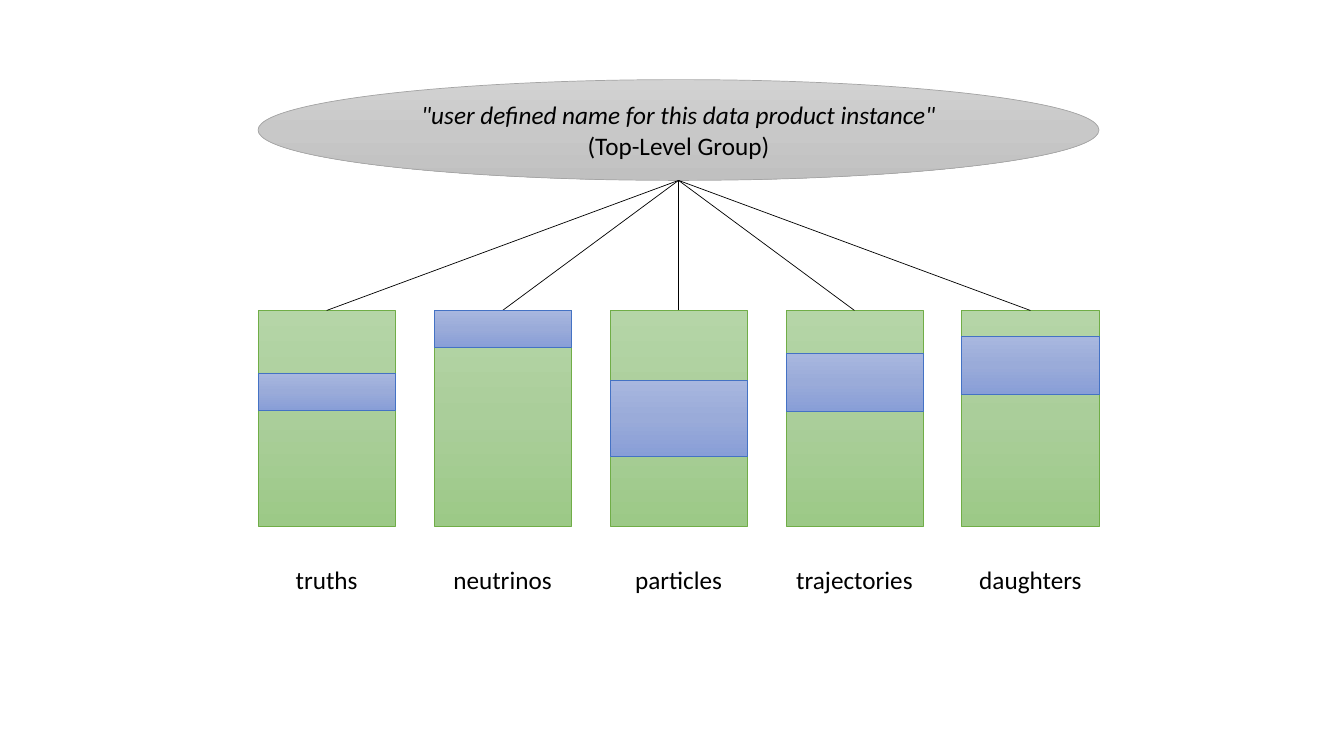
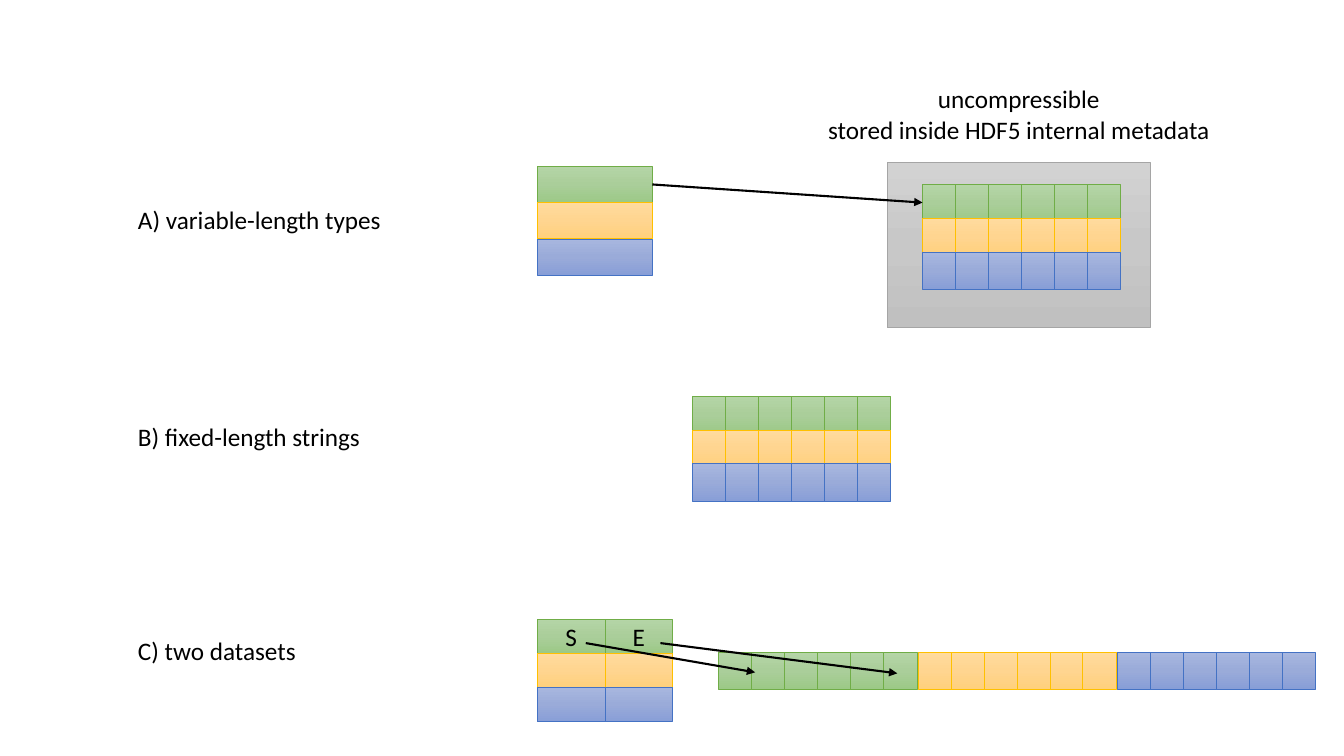
from copy import deepcopy
from dataclasses import dataclass

from pptx import Presentation
from pptx.dml.color import RGBColor
from pptx.enum import shapes, text
from pptx.oxml.ns import qn
from pptx.util import Inches, Pt


@dataclass(frozen=True)
class Theme:
    """Colours (three gradient stops, then outline), type and line weights."""
    gray: tuple = ("D2D2D2", "C8C8C8", "C0C0C0", "A5A5A5")
    green: tuple = ("B5D5A7", "AACE9A", "9CC987", "70AD47")
    yellow: tuple = ("FFDB9E", "FFD590", "FFD07C", "FFC000")
    blue: tuple = ("A8B7DF", "9AABD9", "889ED7", "4472C4")
    ink: str = "000000"
    font: str = "Calibri"
    size: int = 18
    thin: float = 0.5
    thick: float = 1.5


theme = Theme()


def add_box(page, frame, tone=None, label="", align=text.PP_ALIGN.CENTER,
            preset=shapes.MSO_SHAPE.RECTANGLE):
    """Add a gradient shape, or a plain text box when no tone is given."""
    frame = [Inches(length) for length in frame]
    if tone:
        box = page.shapes.add_shape(preset, *frame)
        box.shadow.inherit = False
        box.fill.gradient()
        box.fill.gradient_angle = 270
        first_stop = box.fill.gradient_stops[0]._gs
        first_stop.addnext(deepcopy(first_stop))
        for index, stop in enumerate(box.fill.gradient_stops):
            stop.position = index / 2
            stop.color.rgb = RGBColor.from_string(tone[index])
        box.line.color.rgb = RGBColor.from_string(tone[-1])
        box.line.width = Pt(theme.thin)
        box.text_frame.vertical_anchor = text.MSO_ANCHOR.MIDDLE
    else:
        box = page.shapes.add_textbox(*frame)
        box.text_frame.auto_size = text.MSO_AUTO_SIZE.SHAPE_TO_FIT_TEXT
    box.text_frame.word_wrap = True
    box.text_frame.text = label
    for para in box.text_frame.paragraphs:
        para.alignment = align
        for span in para.runs:
            span.font.name = theme.font
            span.font.size = Pt(theme.size)
            span.font.color.rgb = RGBColor.from_string(theme.ink)
    return box


def add_line(page, start, end, width, arrow=False):
    """Add a straight line, with an arrowhead at its end if asked."""
    line = page.shapes.add_connector(
        shapes.MSO_CONNECTOR.STRAIGHT, *[Inches(length) for length in (*start, *end)])
    line.line.color.rgb = RGBColor.from_string(theme.ink)
    line.line.width = Pt(width)
    properties = line._element.spPr
    if arrow:
        outline = properties.find(qn("a:ln"))
        outline.append(outline.makeelement(qn("a:tailEnd"), {"type": "triangle"}))
    properties.append(properties.makeelement(qn("a:effectLst"), {}))


deck = Presentation()
deck.slide_width, deck.slide_height = Inches(13.33), Inches(7.5)
blank_layout = deck.slide_layouts[6]

# Slide 1: one top-level group over five datasets
page = deck.slides.add_slide(blank_layout)
group_left, group_top, group_width, group_height = 2.56, 0.79, 8.34, 1
group = add_box(page, (group_left, group_top, group_width, group_height), theme.gray,
                '"user defined name for this data product instance"\v(Top-Level Group)',
                preset=shapes.MSO_SHAPE.OVAL)
group.text_frame.paragraphs[0].runs[0].font.italic = True
group_foot = (group_left + group_width / 2, group_top + group_height)

# Name, then top and height of the selected slice
datasets = (("truths", 3.7, 0.37), ("neutrinos", 3.08, 0.37), ("particles", 3.77, 0.76),
            ("trajectories", 3.51, 0.57), ("daughters", 3.34, 0.57))
dataset_top, dataset_width, dataset_height = 3.08, 1.36, 2.14
dataset_pitch = (group_width - dataset_width) / (len(datasets) - 1)
for column, (name, slice_top, slice_height) in enumerate(datasets):
    left = group_left + column * dataset_pitch
    add_box(page, (left, dataset_top, dataset_width, dataset_height), theme.green)
    add_line(page, (left + dataset_width / 2, dataset_top), group_foot, theme.thin)
    add_box(page, (left, 5.55, dataset_width, 0.4), label=name)
    add_box(page, (left, slice_top, dataset_width, slice_height), theme.blue)

# Slide 2: three ways to store strings
page = deck.slides.add_slide(blank_layout)
tones = (theme.green, theme.yellow, theme.blue)
record_left = 5.33
cell_count, cell_pitch, cell_width, cell_height = 6, 0.327, 0.33, 0.37

for label, top in (("A) variable-length types", 1.98), ("B) fixed-length strings", 4.13),
                   ("C) two datasets", 6.25)):
    add_box(page, (1.27, top, 2.88, 0.4), label=label, align=text.PP_ALIGN.LEFT)
add_box(page, (7.94, 0.78, 4.33, 0.71),
        label="uncompressible\nstored inside HDF5 internal metadata")
add_box(page, (8.8, 1.61, 2.61, 1.64), theme.gray)

# Record stacks: left, top, width, row height, label of the first row
for left, top, width, height, label in ((record_left, 1.65, 1.14, 0.36, ""),
                                        (record_left + 0.67, 6.14, 0.67, 0.34, "E"),
                                        (record_left, 6.14, 0.67, 0.34, "S")):
    for row, tone in enumerate(tones):
        add_box(page, (left, top + row * height, width, height), tone,
                "" if row else label)

# Character strips: left, top, then the step from one string to the next
for left, top, step_x, step_y in ((9.15, 1.83, 0, 0.335), (6.87, 3.93, 0, 0.335),
                                  (7.13, 6.47, 1.975, 0)):
    for row, tone in enumerate(tones):
        for column in range(cell_count):
            add_box(page, (left + row * step_x + column * cell_pitch, top + row * step_y,
                           cell_width, cell_height), tone)

for start, end in (((6.47, 1.83), (9.15, 2.01)), ((5.81, 6.38), (7.49, 6.67)),
                   ((6.55, 6.38), (8.9, 6.68))):
    add_line(page, start, end, theme.thick, arrow=True)

deck.save("out.pptx")
